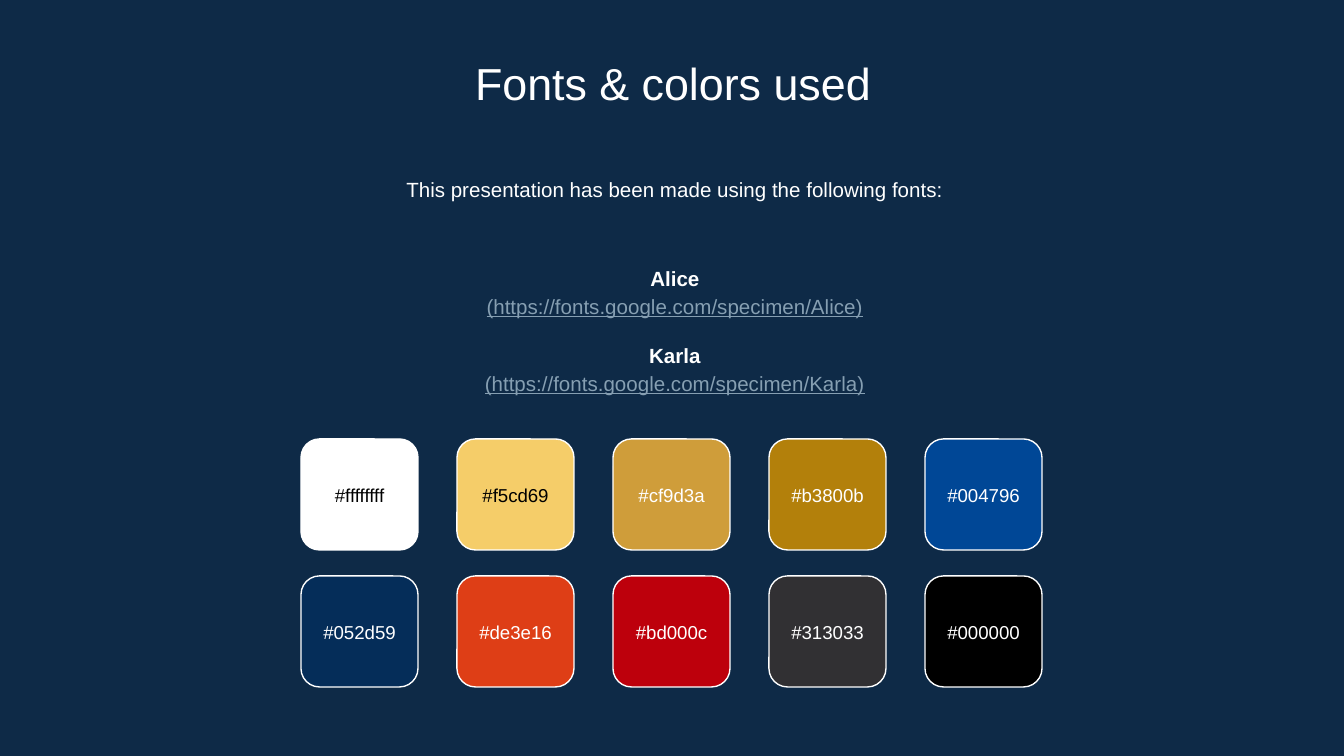
from pptx import Presentation
from pptx.dml.color import RGBColor
from pptx.enum.shapes import MSO_SHAPE
from pptx.enum.text import MSO_ANCHOR, PP_ALIGN
from pptx.util import Emu, Pt

PX = 6804  # EMU in one px
NAVY = RGBColor(0x0E, 0x2A, 0x47)
WHITE = RGBColor(0xFF, 0xFF, 0xFF)
BLACK = RGBColor(0x00, 0x00, 0x00)
STEEL = RGBColor(0x86, 0x9F, 0xB2)

# Label and label colour; the first six digits give the fill
ROWS = [
    [("#ffffffff", BLACK), ("#f5cd69", BLACK), ("#cf9d3a", WHITE),
     ("#b3800b", WHITE), ("#004796", WHITE)],
    [("#052d59", WHITE), ("#de3e16", WHITE), ("#bd000c", WHITE),
     ("#313033", WHITE), ("#000000", WHITE)],
]
LEFT, TOP, WIDE, HIGH = 301, 439, 117, 111
STEP, DROP = 156, 137
TAG = 65  # height of a swatch label


class Deck:
    """Holds the style and the current slide."""

    font = "Arial"
    pad = 13

    def __init__(self, wide, high):
        self.prs = Presentation()
        self.prs.slide_width, self.prs.slide_height = Emu(wide * PX), Emu(high * PX)
        self.slide = self.prs.slides.add_slide(self.prs.slide_layouts[6])
        back = self.slide.background.fill
        back.solid()
        back.fore_color.rgb = NAVY

    def text(self, box, lines, size, anchor=MSO_ANCHOR.MIDDLE, **form):
        """Add centred lines, each a text, a colour and its font values."""
        frame = self.slide.shapes.add_textbox(*(Emu(n * PX) for n in box)).text_frame
        pad = Emu(self.pad * PX)
        style = {"word_wrap": True, "vertical_anchor": anchor,
                 "margin_left": pad, "margin_right": pad,
                 "margin_top": pad, "margin_bottom": pad}
        for name, value in style.items():
            setattr(frame, name, value)
        for i, (words, color, face, gap) in enumerate(lines):
            para = frame.add_paragraph() if i else frame.paragraphs[0]
            for name, value in {"alignment": PP_ALIGN.CENTER, **form}.items():
                setattr(para, name, value)
            if gap:
                para.space_before = Pt(gap)
            run = para.add_run()
            run.text = words
            for name, value in {"name": self.font, "size": Pt(size), **face}.items():
                setattr(run.font, name, value)
            run.font.color.rgb = color

    def swatch(self, left, top, label, color):
        shape = self.slide.shapes.add_shape(
            MSO_SHAPE.ROUNDED_RECTANGLE, *(Emu(n * PX) for n in (left, top, WIDE, HIGH)))
        shape.shadow.inherit = False
        shape.fill.solid()
        shape.fill.fore_color.rgb = RGBColor.from_string(label[1:7].upper())
        shape.line.color.rgb = WHITE
        shape.line.width = Pt(0.75)
        box = (left, top + (HIGH - TAG) // 2, WIDE, TAG)
        self.text(box, [(label, color, {}, 0)], 10)


def main():
    deck = Deck(1344, 756)
    deck.text((155, 47, 1036, 71), [("Fonts & colors used", WHITE, {}, 0)], 24)
    deck.text((157, 160, 1036, 65),
              [("This presentation has been made using the following fonts:", WHITE, {}, 0)],
              11, MSO_ANCHOR.TOP, line_spacing=1.15)

    bold, under = {"bold": True}, {"underline": True}
    deck.text((157, 237, 1036, 184), [
        ("Alice", WHITE, bold, 0),
        ("(https://fonts.google.com/specimen/Alice)", STEEL, under, 0),
        ("Karla", WHITE, bold, 11),
        ("(https://fonts.google.com/specimen/Karla)", STEEL, under, 0),
    ], 11, line_spacing=1.15)

    for r, row in enumerate(ROWS):
        for c, (label, color) in enumerate(row):
            deck.swatch(LEFT + c * STEP, TOP + r * DROP, label, color)
    deck.prs.save("out.pptx")


if __name__ == "__main__":
    main()
